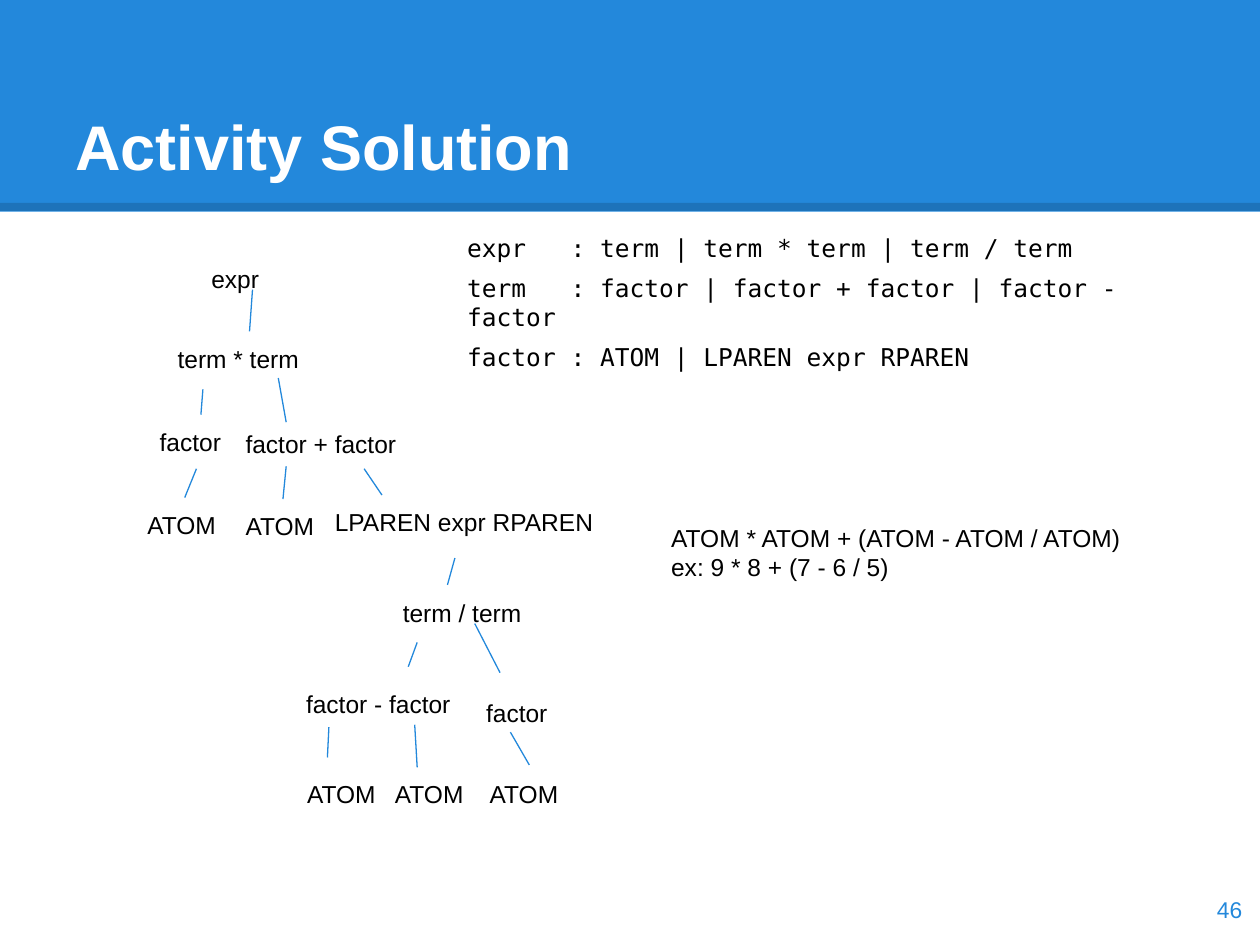
from pptx import Presentation
from pptx.dml.color import RGBColor as RGB
from pptx.enum.shapes import MSO_CONNECTOR as Link, MSO_SHAPE as Form
from pptx.enum.text import MSO_ANCHOR as Anchor, PP_ALIGN as Align
from pptx.oxml.ns import qn
from pptx.util import Cm, Pt
from lxml.etree import SubElement as Sub

BLUE = RGB(0x23, 0x88, 0xDB)
BLACK = RGB(0, 0, 0)
WHITE = RGB(255, 255, 255)
SANS = "Arial"
MONO = "DejaVu Sans Mono"

NODES = {
    "expr": ("expr", 4.01, 5.08, 2.16, 0.76),
    "times": ("term * term", 3.33, 6.68, 3.4, 0.76),
    "left": ("factor", 2.97, 8.36, 2.16, 0.64),
    "plus": ("factor + factor", 4.7, 8.41, 3.86, 0.48),
    "atom1": ("ATOM", 2.72, 10.03, 2.01, 0.64),
    "atom2": ("ATOM", 4.7, 10.06, 2.01, 0.61),
    "paren": ("LPAREN expr RPAREN", 6.5, 9.98, 5.84, 0.76),
    "over": ("term / term", 7.87, 11.81, 3.4, 0.76),
    "minus": ("factor - factor", 5.92, 13.64, 3.86, 0.66),
    "right": ("factor", 9.55, 13.82, 2.44, 0.64),
}

EDGES = [
    ("expr", "times", 5.09, 5.84, 5.03, 6.68),
    (None, "left", 4.09, 7.85, 4.05, 8.36),
    (None, None, 5.61, 7.62, 5.77, 8.51),
    (None, "atom1", 3.96, 9.45, 3.72, 10.03),
    (None, "atom2", 5.77, 9.4, 5.7, 10.06),
    (None, None, 7.34, 9.45, 7.7, 9.98),
    (None, None, 9.17, 11.25, 9.02, 11.79),
    (None, None, 8.41, 12.95, 8.23, 13.44),
    ("over", None, 9.57, 12.57, 10.08, 13.56),
    (None, None, 6.63, 14.66, 6.6, 15.27),
    (None, None, 8.36, 14.61, 8.41, 15.47),
    (None, None, 10.29, 14.76, 10.67, 15.42),
]

RULES = [
    "expr   : term | term * term | term / term",
    "term   : factor | factor + factor | factor - factor",
    "factor : ATOM | LPAREN expr RPAREN",
]


def text(slide, lines, x, y, w, h, size=14, face=SANS, color=BLACK,
         bold=False, anchor=Anchor.TOP, align=Align.LEFT, gap=0, tabs=()):
    box = slide.shapes.add_textbox(Cm(x), Cm(y), Cm(w), Cm(h))
    frame = box.text_frame
    frame.word_wrap = True
    frame.vertical_anchor = anchor
    frame.margin_left = frame.margin_right = Cm(0.25)
    frame.margin_top = frame.margin_bottom = Cm(0.25)
    for i, line in enumerate(lines):
        par = frame.add_paragraph() if i else frame.paragraphs[0]
        par.alignment = align
        if i and gap:
            par.space_before = Pt(gap)
        if tabs:
            stops = Sub(par._p.get_or_add_pPr(), qn("a:tabLst"))
            for stop in tabs:
                Sub(stops, qn("a:tab"), pos=str(Cm(stop)), algn="l")
        run = par.add_run()
        run.text = line
        font = run.font
        font.size, font.name, font.bold = Pt(size), face, bold
        font.color.rgb = color
    return box


def line(slide, x1, y1, x2, y2, color=BLUE, width=0.75):
    link = slide.shapes.add_connector(
        Link.STRAIGHT, Cm(x1), Cm(y1), Cm(x2), Cm(y2))
    link.line.color.rgb = color
    link.line.width = Pt(width)
    Sub(link._element.spPr, qn("a:effectLst"))
    return link


def banner(slide):
    band = slide.shapes.add_shape(Form.RECTANGLE, 0, 0, Cm(25.4), Cm(4.27))
    band.shadow.inherit = False
    band.fill.solid()
    band.fill.fore_color.rgb = BLUE
    band.line.fill.background()
    edge = line(slide, 0, 4.17, 25.4, 4.17, BLACK, 4.5)
    tint = edge._element.spPr.find(".//" + qn("a:srgbClr"))
    Sub(tint, qn("a:alpha"), val="15000")
    text(slide, ["Activity Solution"], 1.27, 0.76, 22.86, 3.18,
         size=36, color=WHITE, bold=True, anchor=Anchor.BOTTOM)


def tree(slide):
    nodes = {key: text(slide, [word], *place)
             for key, (word, *place) in NODES.items()}
    text(slide, ["ATOM\tATOM\tATOM"], 5.94, 15.47, 6.78, 0.48,
         tabs=(1.77, 3.68))
    for top, low, *ends in EDGES:
        link = line(slide, *ends)
        if top:
            link.begin_connect(nodes[top], 2)
        if low:
            link.end_connect(nodes[low], 0)


def main():
    deck = Presentation()
    deck.slide_width, deck.slide_height = Cm(25.4), Cm(19.05)
    slide = deck.slides.add_slide(deck.slide_layouts[6])
    banner(slide)
    text(slide, RULES, 9.17, 4.45, 14.96, 3.18, face=MONO, gap=6)
    tree(slide)
    text(slide, ["ATOM * ATOM + (ATOM - ATOM / ATOM)",
                 "ex: 9 * 8 + (7 - 6 / 5)"], 13.28, 10.29, 9.65, 2.67)
    text(slide, ["46"], 23.77, 17.6, 1.52, 1.45, size=13, color=BLUE,
         anchor=Anchor.MIDDLE, align=Align.RIGHT)
    deck.save("out.pptx")


if __name__ == "__main__":
    main()
